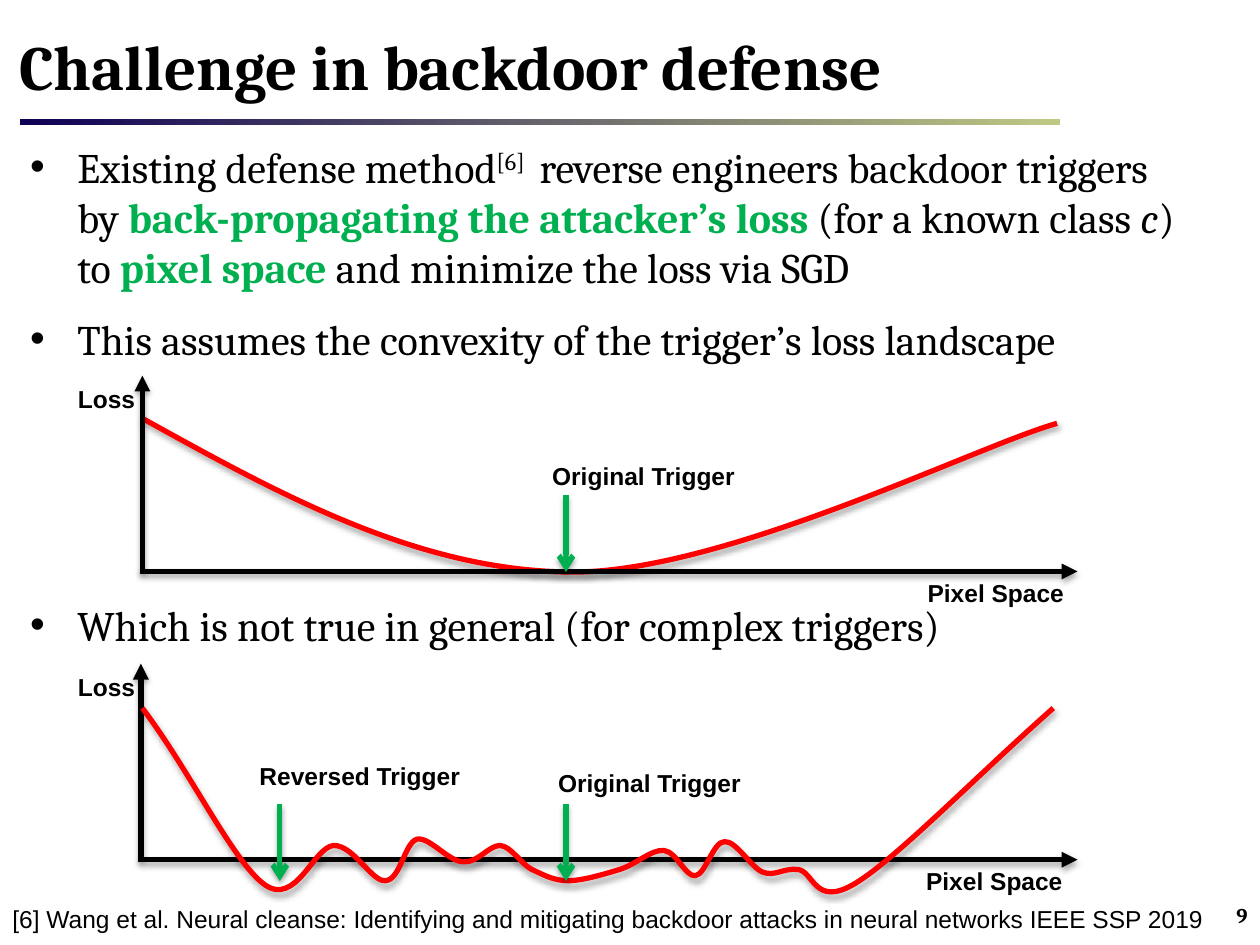
"""Build the slide on the challenge in backdoor defense."""
from lxml.etree import SubElement
from pptx import Presentation
from pptx.dml.color import RGBColor as RGB
from pptx.enum.shapes import MSO_CONNECTOR as CONN, MSO_SHAPE as SHAPE
from pptx.enum.text import MSO_ANCHOR as ANCHOR, PP_ALIGN as ALIGN
from pptx.oxml.ns import qn
from pptx.util import Cm, Pt

COLORS = {"text": "000000", "curve": "FF0000", "accent": "00B050",
          "bar_start": "0F0055", "bar_end": "BFC883"}


def add_label(text, x, y, w, h, size=14, bold=True, font="Arial", wrap=False):
    box = s.shapes.add_textbox(Cm(x), Cm(y), Cm(w), Cm(h))
    tf = box.text_frame
    tf.word_wrap = wrap
    tf.text = text
    f = tf.paragraphs[0].runs[0].font
    f.name, f.size, f.bold = font, Pt(size), bold
    f.color.rgb = RGB.from_string(COLORS["text"])
    return tf


def style_line(shape, color, head=None):
    shape.line.color.rgb = RGB.from_string(COLORS[color])
    shape.line.width = Pt(3)
    if head:
        SubElement(shape.line._get_or_add_ln(), qn("a:tailEnd"), type=head)
    effects = SubElement(shape._element.spPr, qn("a:effectLst"))
    shadow = SubElement(effects, qn("a:outerShdw"), blurRad=str(Pt(3.1)),
                        dist=str(Pt(1.8)), dir="5400000", rotWithShape="0")
    clr = SubElement(shadow, qn("a:srgbClr"), val=COLORS["text"])
    SubElement(clr, qn("a:alpha"), val="35000")


prs = Presentation()
prs.slide_width, prs.slide_height = Cm(25.4), Cm(19.05)
s = prs.slides.add_slide(prs.slide_layouts[6])

bar = s.shapes.add_shape(SHAPE.RECTANGLE, Cm(0.4), Cm(2.4), Cm(20.98), Cm(0.12))
bar.shadow.inherit = False
bar.line.fill.background()
bar.fill.gradient()
bar.fill.gradient_angle = 0
for stop, name in zip(bar.fill.gradient_stops, ("bar_start", "bar_end")):
    stop.color.rgb = RGB.from_string(COLORS[name])

tf = add_label("9", 21.1, 18.06, 4.3, 0.76, 12, font="Cambria", wrap=True)
tf.paragraphs[0].alignment = ALIGN.RIGHT
tf = add_label("Challenge in backdoor defense", 0.14, 0.51, 21.49, 1.6, 36,
               font="Cambria", wrap=True)
tf.vertical_anchor = ANCHOR.MIDDLE

bullets = [
    (0, [("Existing defense method", ""), ("[6] ", "super"),
         (" reverse engineers backdoor triggers by ", ""),
         ("back-propagating the attacker’s loss ", "accent"),
         ("(for a known class ", ""), ("c", "italic"), (") to ", ""),
         ("pixel space ", "accent"), ("and minimize the loss via SGD", "")]),
    (6, [("This assumes the convexity of the trigger’s loss landscape", "")]),
    (128.5, [("Which is not true in general (for complex triggers)", "")]),
]
tf = s.shapes.add_textbox(Cm(0.36), Cm(2.72), Cm(23.57), Cm(16.03)).text_frame
tf.word_wrap = True
for i, (before, runs) in enumerate(bullets):
    p = tf.add_paragraph() if i else tf.paragraphs[0]
    p.space_before, p.space_after = Pt(before), Pt(6)
    pPr = p._p.get_or_add_pPr()
    pPr.set("marL", str(Cm(0.95)))
    pPr.set("indent", str(Cm(-0.95)))
    SubElement(pPr, qn("a:buFont"), typeface="Arial")
    SubElement(pPr, qn("a:buChar"), char="•")
    for text, look in runs:
        r = p.add_run()
        r.text = text
        r.font.name, r.font.size = "Cambria", Pt(24)
        r.font.bold, r.font.italic = look == "accent", look == "italic"
        r.font.color.rgb = RGB.from_string(COLORS["accent" if look == "accent" else "text"])
        if look == "super":
            r._r.get_or_add_rPr().set("baseline", "30000")

add_label("[6] Wang et al. Neural cleanse: Identifying and mitigating backdoor "
          "attacks in neural networks IEEE SSP 2019", 0, 18.1, 24.64, 0.86, bold=False)

convex = [(113, 332), (223, 393, 332, 453, 453, 454), (574, 455, 775, 354, 839, 336)]
bumpy = [
    (113, 562), (151, 612, 185, 684, 210, 702), (235, 720, 249, 672, 265, 671),
    (281, 671, 295, 700, 306, 699), (318, 698, 321, 669, 331, 666),
    (341, 664, 356, 684, 368, 684), (379, 685, 388, 671, 397, 671),
    (406, 672, 413, 685, 422, 690), (431, 694, 439, 699, 451, 699),
    (462, 699, 479, 694, 492, 690), (505, 686, 517, 674, 527, 675),
    (537, 676, 544, 696, 552, 695), (560, 694, 566, 668, 575, 668),
    (584, 667, 596, 688, 605, 692), (615, 696, 621, 689, 633, 690),
    (646, 691, 646, 721, 679, 701), (712, 681, 777, 614, 836, 562),
]
plots = [
    (7.57, 2.87, convex, 122, False, 9.98, [11.41],
     [("Original Trigger", 10.88, 9.17, 4.22)]),
    (13.38, 2.84, bumpy, 145, True, 16.21, [5.64, 11.41],
     [("Original Trigger", 11, 15.35, 4.22), ("Reversed Trigger", 4.98, 15.21, 4.57)]),
]
unit = Cm(2.54) / 100
for top, axis_x, (start, *bends), height, on_top, arrow_top, arrows, labels in plots:
    builder = s.shapes.build_freeform(*start, scale=unit)
    builder.add_line_segments([bend[4:] for bend in bends], close=False)
    curve = builder.convert_to_shape()
    curve.height = int(height * unit)
    outline = curve._element.spPr.find(".//" + qn("a:path"))
    outline.set("h", str(height))
    for old in outline.findall(qn("a:lnTo")):
        outline.remove(old)
    for bend in bends:
        cubic = SubElement(outline, qn("a:cubicBezTo"))
        for x, y in zip(bend[::2], bend[1::2]):
            SubElement(cubic, qn("a:pt"), x=str(x - start[0]), y=str(y - start[1]))
    curve.fill.background()
    style_line(curve, "curve")

    base = top + 3.95
    for x, y, end_x, end_y in ((axis_x - 0.05, base, 21.72, base),
                               (axis_x, base, axis_x, top)):
        axis = s.shapes.add_connector(CONN.STRAIGHT, Cm(x), Cm(y), Cm(end_x), Cm(end_y))
        style_line(axis, "text", "triangle")
    if on_top:
        s.shapes._spTree.append(curve._element)
    for x in arrows:
        arrow = s.shapes.add_connector(CONN.STRAIGHT, Cm(x), Cm(arrow_top),
                                       Cm(x), Cm(arrow_top + 1.55))
        style_line(arrow, "accent", "arrow")
    for text, x, y, w in [("Pixel Space", axis_x + 15.58, base, 3.28),
                          ("Loss", 1.32, top + 0.05, 1.68), *labels]:
        add_label(text, x, y, w, 0.86)

prs.save("out.pptx")
